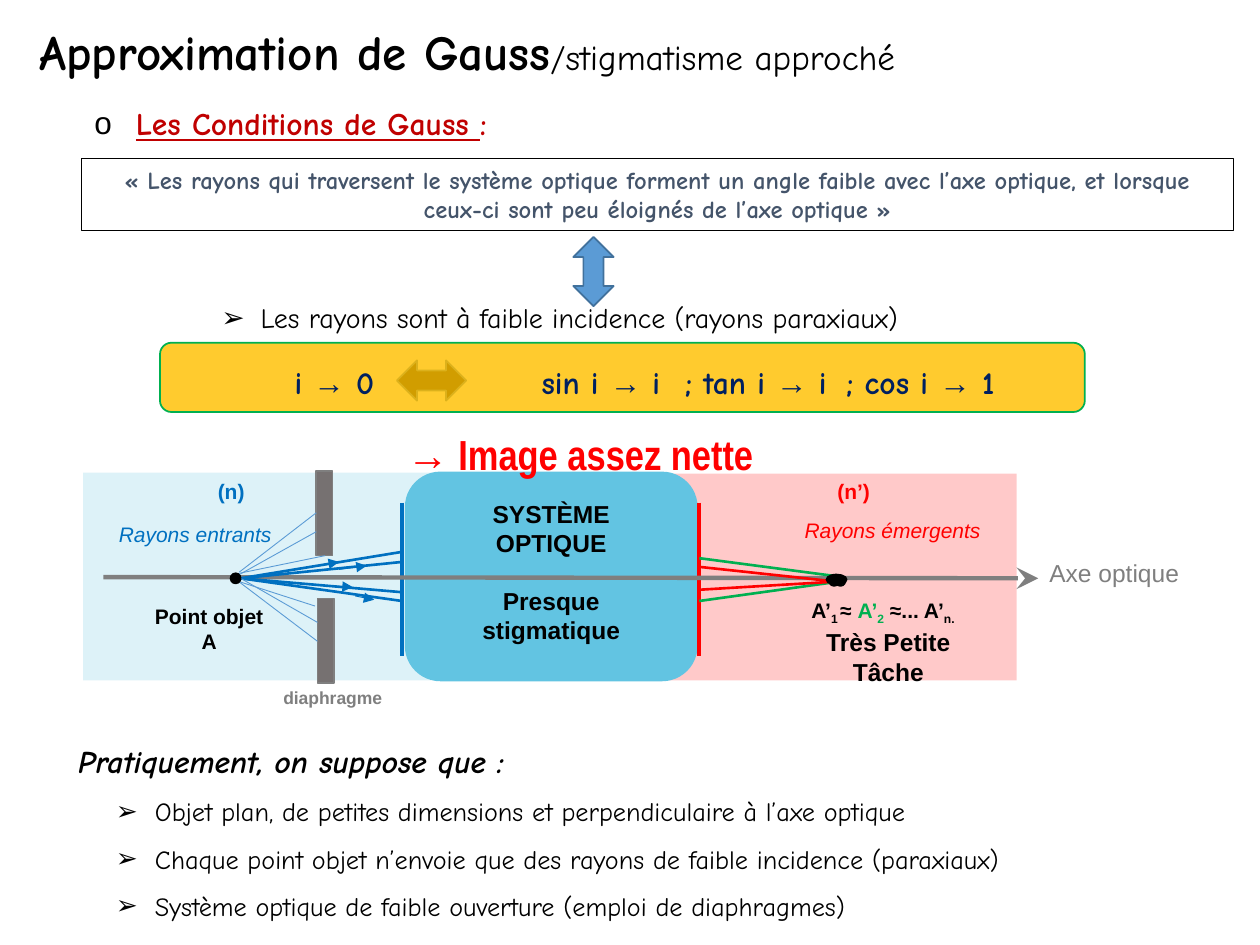
from lxml import etree
from pptx import Presentation
from pptx.dml.color import RGBColor
from pptx.enum import shapes, text
from pptx.oxml import ns
from pptx.util import Inches, Pt

BLACK = RGBColor(0x00, 0x00, 0x00)
BLUE = RGBColor(0x00, 0x70, 0xC0)
LIGHT = RGBColor(0x5B, 0x9B, 0xD5)
CYAN = RGBColor(0x62, 0xC4, 0xE2)
NAVY = RGBColor(0x00, 0x20, 0x60)
SLATE = RGBColor(0x44, 0x54, 0x6A)
STEEL = RGBColor(0x41, 0x71, 0x9C)
RED = RGBColor(0xFF, 0x00, 0x00)
DARK = RGBColor(0xC0, 0x00, 0x00)
GREEN = RGBColor(0x00, 0xB0, 0x50)
GOLD = RGBColor(0xFF, 0xC0, 0x00)
GREY = RGBColor(0x7F, 0x7F, 0x7F)
STONE = RGBColor(0x76, 0x71, 0x71)
COMIC = "Comic Neue"
ARIAL = "Arial"
LEFT, MID = text.PP_ALIGN.LEFT, text.PP_ALIGN.CENTER
KIND = shapes.MSO_SHAPE

deck = Presentation()
deck.slide_width, deck.slide_height = Inches(10), Inches(7.5)
slide = deck.slides.add_slide(deck.slide_layouts[1])
title, body = slide.placeholders


def add_run(par, words, size, color, font=COMIC, bold=False, italic=False):
    run = par.add_run()
    run.text = words
    run.font.size, run.font.name = Pt(size), font
    run.font.bold, run.font.italic = bold, italic
    run.font.color.rgb = color
    return run


def add_box(x, y, w, h, lines=(), size=12, color=BLACK, font=ARIAL,
            bold=False, italic=False, align=MID):
    box = slide.shapes.add_textbox(Inches(x), Inches(y), Inches(w), Inches(h))
    box.text_frame.word_wrap = True
    for i, words in enumerate(lines):
        par = box.text_frame.paragraphs[0] if i == 0 else box.text_frame.add_paragraph()
        par.alignment = align
        add_run(par, words, size, color, font, bold, italic)
    return box


# Title
title.left, title.top = Inches(0.21), Inches(-0.29)
title.width, title.height = Inches(8.62), Inches(1.45)
title.text_frame.auto_size = text.MSO_AUTO_SIZE.NONE
title.text_frame.vertical_anchor = text.MSO_ANCHOR.MIDDLE
head = title.text_frame.paragraphs[0]
head.alignment, head.line_spacing = LEFT, 0.9
add_run(head, "Approximation de Gauss", 28, BLACK, bold=True)
add_run(head, "/stigmatisme approché", 20, BLACK)

# Practical assumptions
body.left, body.top = Inches(0.52), Inches(5.69)
body.width, body.height = Inches(8.69), Inches(1.68)
body.text_frame.auto_size = text.MSO_AUTO_SIZE.NONE
items = ["Pratiquement, on suppose que :",
         "Objet plan, de petites dimensions et perpendiculaire à l’axe optique",
         "Chaque point objet n’envoie que des rayons de faible incidence (paraxiaux)",
         "Système optique de faible ouverture (emploi de diaphragmes)"]
bullets = []
for i, words in enumerate(items):
    par = body.text_frame.paragraphs[0] if i == 0 else body.text_frame.add_paragraph()
    par.line_spacing, par.space_before = 1.5, Pt(0)
    if i == 0:
        add_run(par, words, 18, BLACK, bold=True, italic=True)
        bullets.append((par, None, 0, 0))
    else:
        par.level = 1
        add_run(par, words, 15, BLACK)
        bullets.append((par, "➢", 0.61, 0.31))

# Backgrounds, arrows, optical system and diaphragm: fill, opacity, edge
for kind, x, y, w, h, fill, alpha, edge in [
        (KIND.RECTANGLE, 0.66, 3.75, 2.76, 1.65, CYAN, 21, None),
        (KIND.RECTANGLE, 5.31, 3.76, 2.76, 1.64, RED, 21, None),
        (KIND.ROUNDED_RECTANGLE, 3.22, 3.75, 2.31, 1.65, CYAN, 100, CYAN),
        (KIND.LEFT_RIGHT_ARROW, 3.15, 2.86, 0.55, 0.32, BLACK, 100, STEEL),
        (KIND.ROUNDED_RECTANGLE, 1.27, 2.72, 7.34, 0.55, GOLD, 82, GREEN),
        (KIND.UP_DOWN_ARROW, 4.55, 1.88, 0.32, 0.55, LIGHT, 100, STEEL),
        (KIND.RECTANGLE, 2.51, 3.74, 0.13, 0.67, STONE, 100, GREY),
        (KIND.RECTANGLE, 2.52, 4.75, 0.13, 0.67, STONE, 100, GREY)]:
    shape = slide.shapes.add_shape(kind, Inches(x), Inches(y), Inches(w), Inches(h))
    shape.shadow.inherit = False
    shape.fill.solid()
    shape.fill.fore_color.rgb = fill
    if alpha < 100:
        tint = shape.fill._xPr.find(".//" + ns.qn("a:srgbClr"))
        etree.SubElement(tint, ns.qn("a:alpha"), val=str(alpha * 1000))
    if edge is None:
        shape.line.fill.background()
    else:
        shape.line.color.rgb, shape.line.width = edge, Pt(1)

# Lens faces, axis and emerging rays: from, to, colour, width, arrowhead
lines = [(3.19, 3.99, 3.19, 5.21, BLUE, 2.5, None),
         (5.55, 3.99, 5.55, 5.21, RED, 2.5, None),
         (0.82, 4.58, 8.24, 4.59, GREY, 2.5, "stealth"),
         (6.7, 4.61, 5.55, 4.77, GREEN, 1.5, None),
         (6.57, 4.62, 5.56, 4.68, RED, 1.5, None),
         (6.69, 4.58, 5.55, 4.43, GREEN, 1.5, None),
         (6.58, 4.61, 5.56, 4.5, RED, 1.5, None)]
# Entering rays, their direction marks and the blocked rays
lines += [(1.91, 4.59, 3.19, y, BLUE, 1.5, None) for y in (4.38, 4.46, 4.7, 4.77)]
lines += [(*ends, BLUE, 0.5, "triangle") for ends in [
    (2.52, 4.49, 2.69, 4.46), (2.69, 4.52, 2.91, 4.49),
    (2.63, 4.65, 2.8, 4.66), (2.82, 4.73, 2.97, 4.76)]]
lines += [(*ends, LIGHT, 0.5, None) for ends in [
    (1.9, 4.56, 2.51, 4.22), (1.85, 4.56, 2.58, 4.41), (1.91, 4.62, 2.5, 4.81),
    (1.91, 4.59, 2.52, 4.94), (1.9, 4.62, 2.52, 5.09), (1.9, 4.54, 2.51, 4.07)]]
for x1, y1, x2, y2, color, width, tip in lines:
    line = slide.shapes.add_connector(shapes.MSO_CONNECTOR.STRAIGHT, Inches(x1),
                                      Inches(y1), Inches(x2), Inches(y2))
    line.line.color.rgb, line.line.width = color, Pt(width)
    if tip:
        size = "lg" if tip == "stealth" else "med"
        etree.SubElement(line.line._get_or_add_ln(), ns.qn("a:tailEnd"),
                         type=tip, w=size, len=size)
    etree.SubElement(line._element.spPr, ns.qn("a:effectLst"))

# Object point and image spot, over the rays
for x, y, w, fill in [(1.83, 4.55, 0.08, BLACK), (6.63, 4.57, 0.08, GREEN),
                      (6.58, 4.57, 0.08, RED), (6.56, 4.56, 0.16, BLACK)]:
    dot = slide.shapes.add_shape(KIND.OVAL, Inches(x), Inches(y), Inches(w), Inches(0.08))
    dot.shadow.inherit = False
    dot.fill.solid()
    dot.fill.fore_color.rgb = fill
    dot.line.color.rgb, dot.line.width = BLACK, Pt(1)

# Diagram labels
add_box(8.23, 4.38, 1.58, 0.34, ["Axe optique"], 14, GREY, align=LEFT)
add_box(0.93, 3.75, 1.81, 0.3, ["(n)"], color=BLUE, bold=True)
add_box(5.87, 3.75, 1.81, 0.3, ["(n’)"], color=RED, bold=True)
add_box(0.84, 4.09, 1.42, 0.3, ["Rayons entrants"], color=BLUE, italic=True)
add_box(6.18, 4.06, 1.81, 0.3, ["Rayons émergents"], color=RED, italic=True)
add_box(0.95, 4.74, 1.42, 0.5, ["Point objet", "A"], bold=True)
add_box(6.34, 4.93, 1.42, 0.57, ["Très Petite Tâche"], 14, bold=True)
add_box(1.93, 5.4, 1.42, 0.27, ["diaphragme"], 10, GREY, bold=True)
core = add_box(3.43, 3.91, 1.89, 1.27, ["SYSTÈME OPTIQUE", "Presque stigmatique"],
               14, bold=True)
core.text_frame.paragraphs[1].space_before = Pt(16)

# Image points with subscripts
for x, w, parts in [
        (6.34, 0.79, [("A’", BLACK, 0), ("1", BLACK, 1)]),
        (6.57, 1.34, [("≈ ", BLACK, 0), ("A’", GREEN, 0), ("2", GREEN, 1),
                      (" ≈... A’", BLACK, 0), ("n.", BLACK, 1)])]:
    par = add_box(x, 4.69, w, 0.33).text_frame.paragraphs[0]
    for words, color, sub in parts:
        run = add_run(par, words, 12, color, ARIAL, True)
        if sub:
            run._r.get_or_add_rPr().set("baseline", "-25000")

# Sharp image remark
par = add_box(3.13, 3.15, 3.62, 0.7).text_frame.paragraphs[0]
par.line_spacing = 1.5
add_run(par, "→", 24, RED, ARIAL, True)
add_run(par, " Image assez nette", 24, RED, "Arial Narrow", True)

# Gauss conditions
par = add_box(0.65, 0.78, 9.3, 0.4).text_frame.paragraphs[0]
add_run(par, "Les Conditions de Gauss ", 18, DARK, bold=True).font.underline = True
add_run(par, ":", 18, DARK, bold=True)
bullets.append((par, "o", 0.33, 0.33))
frame = add_box(0.65, 1.26, 9.14, 0.57, [
    "« Les rayons qui traversent le système optique forment un angle faible avec "
    "l’axe optique, et lorsque ceux-ci sont peu éloignés de l’axe optique »"],
    14, SLATE, COMIC, True)
frame.line.color.rgb, frame.line.width = BLACK, Pt(0.75)
par = add_box(1.66, 2.34, 8.2, 0.37, [
    "Les rayons sont à faible incidence (rayons paraxiaux)"],
    16, BLACK, COMIC, align=LEFT).text_frame.paragraphs[0]
bullets.append((par, "➢", 0.31, 0.31))

# Small-angle limits, either side of the gold arrow
for x, start, limit in [(2.24, "i ", " 0"), (4.2, "sin i ", " i"),
                        (5.34, "; tan i ", " i"), (6.62, "; cos i ", " 1")]:
    par = add_box(x, 2.83, 1.6, 0.4).text_frame.paragraphs[0]
    for words, font in [(start, COMIC), ("→", ARIAL), (limit, COMIC)]:
        add_run(par, words, 18, NAVY, font, True)

# Bullets and hanging indents
for par, mark, margin, hang in bullets:
    props = par._p.get_or_add_pPr()
    props.set("marL", str(Inches(margin)))
    props.set("indent", str(-Inches(hang)))
    if mark is None:
        etree.SubElement(props, ns.qn("a:buNone"))
        continue
    tint = etree.SubElement(props, ns.qn("a:buClr"))
    etree.SubElement(tint, ns.qn("a:srgbClr"), val=str(BLACK))
    etree.SubElement(props, ns.qn("a:buFont"), typeface=ARIAL)
    etree.SubElement(props, ns.qn("a:buChar"), char=mark)

deck.save("out.pptx")
